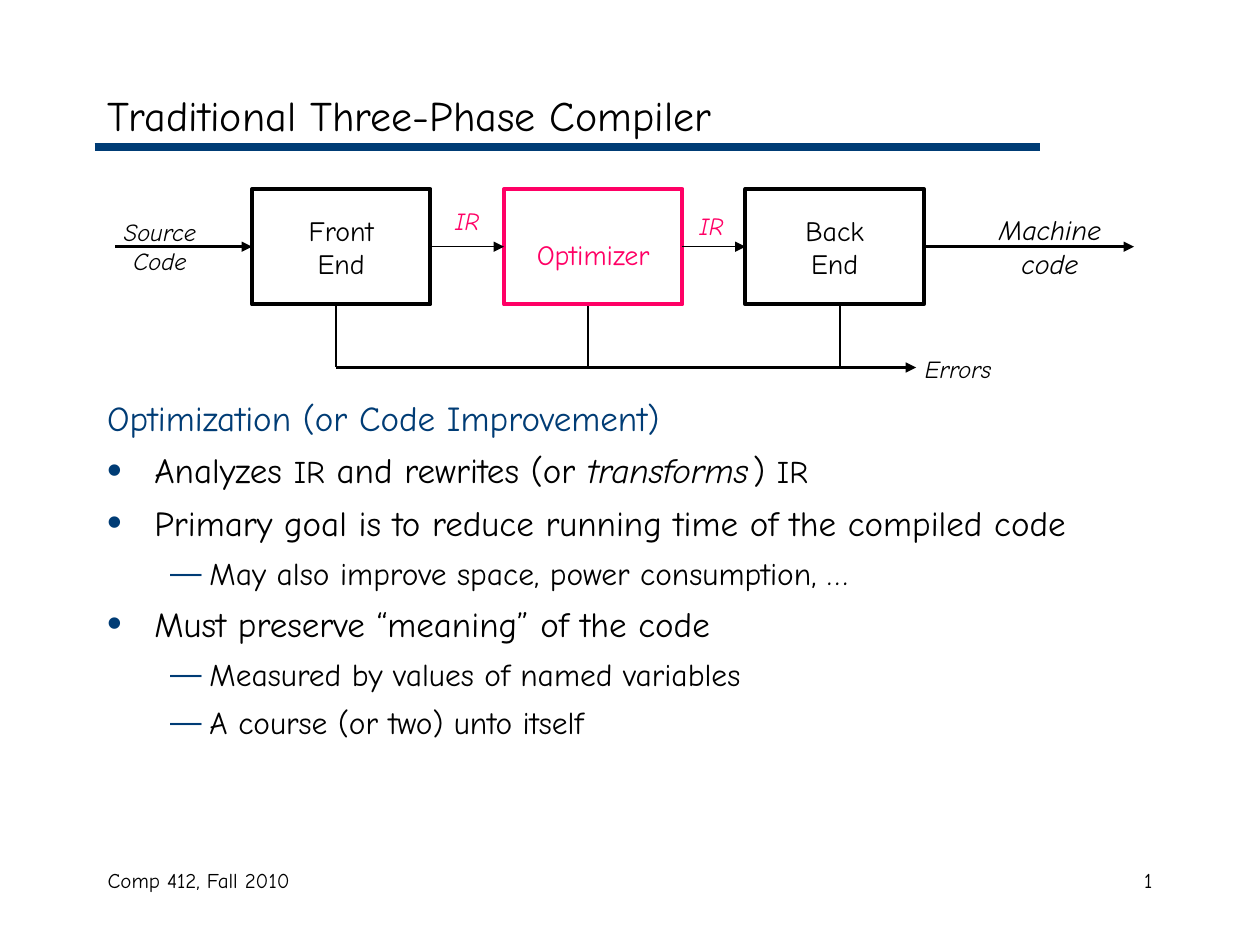
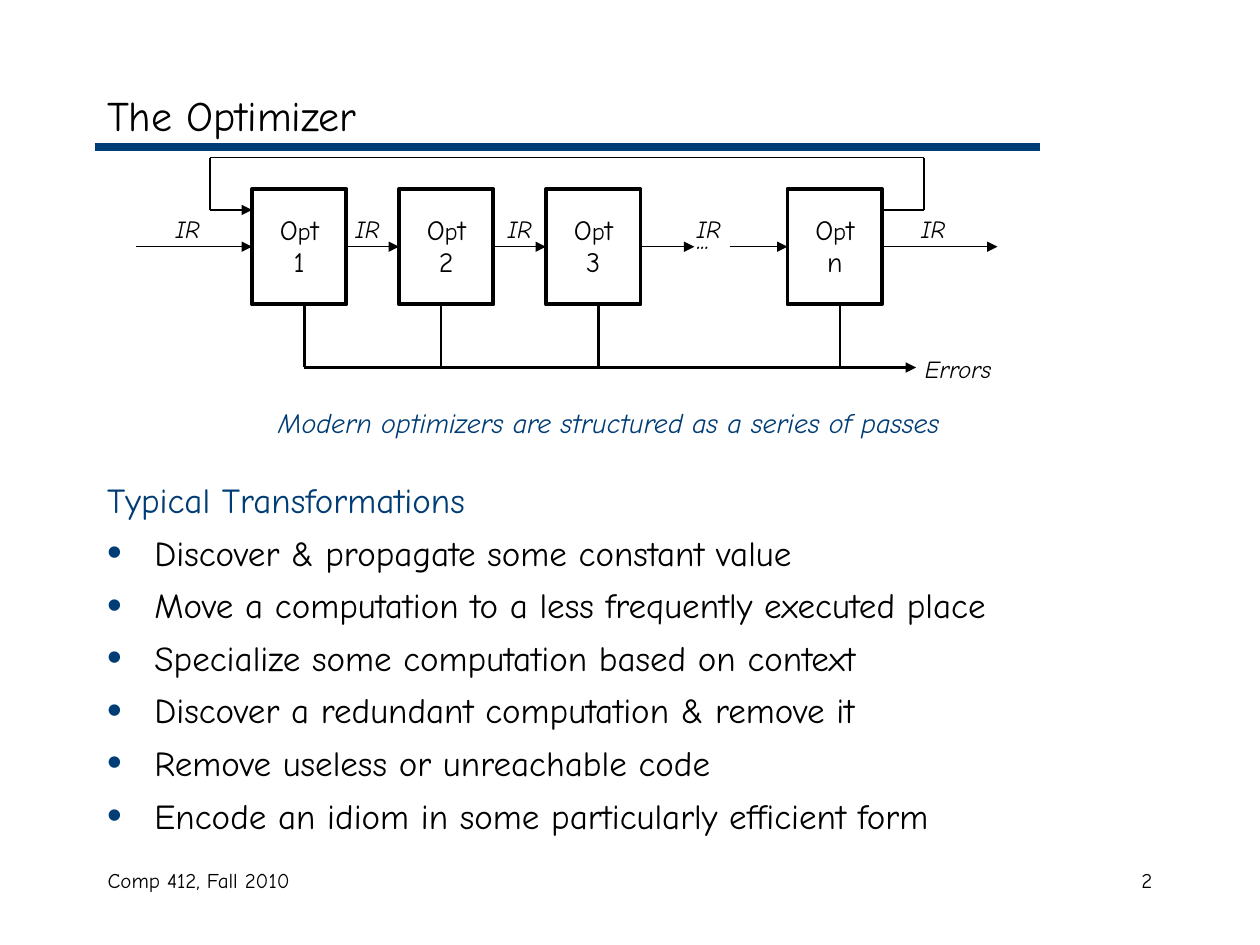
import dataclasses
import itertools

import lxml.etree
import pptx
import pptx.dml.color
import pptx.enum.shapes
import pptx.enum.text
import pptx.oxml.ns
import pptx.util

EMU_PER_PX = 9525
FONT = "Comic Neue"
COLORS = {"ink": "000000", "blue": "003C75", "pink": "FF0065"}
ALIGN = pptx.enum.text.PP_ALIGN
ANCHOR = pptx.enum.text.MSO_ANCHOR


@dataclasses.dataclass
class Box:
    left: int
    top: int
    width: int
    height: int

    def inner(self, left, top, width, height):
        return Box(self.left + left, self.top + top, width, height)

    def emu(self):
        return [px(value) for value in (self.left, self.top, self.width, self.height)]


TITLE = Box(72, 59, 816, 56)
BAND = Box(72, 112, 720, 0)
FOOTER = Box(72, 656, 816, 48)
DIAGRAM = Box(72, 120, 792, 180)
BLOCK_TOP, BLOCK_HEIGHT = 24, 88
FLOW_Y, ERROR_Y = 68, 160
LABEL_WIDTH = 120

COMPILER_LIST = [
    ("heading", [("Optimization (or Code Improvement)", 20, False)]),
    ("bullet", [("Analyzes ", 20, False), ("IR", 18, False),
                (" and rewrites (or ", 20, False), ("transforms", 20, True),
                (" ", 8, True), (") ", 20, False), ("IR", 18, False)]),
    ("bullet", [("Primary goal is to reduce running time of the compiled code", 20, False)]),
    ("dash", [("May also improve space, power consumption, …", 18, False)]),
    ("bullet", [("Must preserve “meaning” of the code", 20, False)]),
    ("dash", [("Measured by values of named variables", 18, False)]),
    ("dash", [("A course (or two) unto itself", 18, False)]),
]
TRANSFORMATIONS = [
    "Discover & propagate some constant value",
    "Move a computation to a less frequently executed place",
    "Specialize some computation based on context",
    "Discover a redundant computation & remove it",
    "Remove useless or unreachable code",
    "Encode an idiom in some particularly efficient form",
]
OPTIMIZER_LIST = [("heading", [("Typical Transformations", 20, False)])] + [
    ("bullet", [(text, 20, False)]) for text in TRANSFORMATIONS]

LIST_STYLES = {
    "heading": {"level": 0, "margin": 36, "indent": -36, "mark": None, "color": "blue"},
    "bullet": {"level": 0, "margin": 36, "indent": -36, "mark": "•", "percent": 120, "color": "ink"},
    "dash": {"level": 1, "margin": 78, "indent": -30, "mark": "—", "percent": 100, "color": "ink"},
}


def px(value):
    return pptx.util.Emu(value * EMU_PER_PX)


def rgb(name):
    return pptx.dml.color.RGBColor.from_string(COLORS[name])


def add_xml(parent, tag, **attributes):
    element = lxml.etree.SubElement(parent, pptx.oxml.ns.qn(tag))
    for name, value in attributes.items():
        element.set(name, str(value))
    return element


def add_run(paragraph, text, size, color="ink", italic=False):
    run = paragraph.add_run()
    run.text = text
    run.font.name = FONT
    run.font.size = pptx.util.Pt(size)
    run.font.italic = italic
    run.font.color.rgb = rgb(color)


def write_lines(frame, lines, color="ink", italic=False, align=ALIGN.CENTER, spacing=None):
    frame.word_wrap = True
    frame.margin_left = frame.margin_right = frame.margin_top = frame.margin_bottom = 0
    for index, runs in enumerate(lines):
        paragraph = frame.add_paragraph() if index else frame.paragraphs[0]
        paragraph.alignment = align
        paragraph.line_spacing = spacing
        for text, size in runs:
            add_run(paragraph, text, size, color, italic)


def add_line(slide, box, start, end, width, color="ink", arrow=False):
    ends = [px(value) for x, y in (start, end) for value in (box.left + x, box.top + y)]
    connector = slide.shapes.add_connector(pptx.enum.shapes.MSO_CONNECTOR.STRAIGHT, *ends)
    connector.line.width = pptx.util.Pt(width)
    connector.line.color.rgb = rgb(color)
    if arrow:
        add_xml(connector.line._get_or_add_ln(), "a:tailEnd", type="triangle")
    add_xml(connector._element.spPr, "a:effectLst")


def add_block(slide, box, lines, color="ink", spacing=None):
    shape = slide.shapes.add_shape(pptx.enum.shapes.MSO_SHAPE.RECTANGLE, *box.emu())
    shape.shadow.inherit = False
    shape.fill.background()
    shape.line.width = pptx.util.Pt(2.25)
    shape.line.color.rgb = rgb(color)
    shape.text_frame.vertical_anchor = ANCHOR.MIDDLE
    write_lines(shape.text_frame, lines, color, spacing=spacing)


def add_label(slide, box, center, top, lines, size=14, color="ink", width=LABEL_WIDTH):
    area = box.inner(center - width // 2, top, width, 24 * len(lines))
    label = slide.shapes.add_textbox(*area.emu())
    write_lines(label.text_frame, [[(line, size)] for line in lines], color, italic=True)


def add_errors(slide, box, drops):
    for x in drops:
        add_line(slide, box, (x, BLOCK_TOP + BLOCK_HEIGHT), (x, ERROR_Y), 1.5)
    add_line(slide, box, (drops[0], ERROR_Y), (626, ERROR_Y), 1.5, arrow=True)
    add_label(slide, box, 658, 150, ["Errors"])


def add_flows(slide, box, flows):
    for start, end, width in flows:
        add_line(slide, box, (start, FLOW_Y), (end, FLOW_Y), width, arrow=True)


def draw_compiler(slide, box):
    add_errors(slide, box, [184, 376, 568])
    blocks = [
        (120, ["Front", "End"], "ink", None),
        (312, ["Optimizer"], "pink", 1.45),
        (496, ["Back", "End"], "ink", None),
    ]
    for left, lines, color, spacing in blocks:
        area = box.inner(left, BLOCK_TOP, 136, BLOCK_HEIGHT)
        add_block(slide, area, [[(line, 16)] for line in lines], color, spacing)
    add_flows(slide, box, [(16, 120, 1.5), (256, 312, 0.75), (448, 496, 0.75), (632, 792, 1.5)])
    add_label(slide, box, 50, 45, ["Source", "Code"])
    add_label(slide, box, 284, 37, ["IR"], color="pink")
    add_label(slide, box, 470, 41, ["IR"], color="pink")
    add_label(slide, box, 728, 42, ["Machine", "code"], size=16)


def draw_optimizer(slide, box):
    add_errors(slide, box, [160, 264, 384, 568])
    for left, number in zip((120, 232, 344, 528), "123n"):
        lines = [[("O", 16), ("p", 14), ("t", 16)], [(number, 16)]]
        add_block(slide, box.inner(left, BLOCK_TOP, 72, BLOCK_HEIGHT), lines, spacing=0.95)
    spans = [(32, 120), (192, 232), (304, 344), (416, 457), (484, 528), (600, 688)]
    add_flows(slide, box, [(start, end, 0.75) for start, end in spans])
    feedback = [(600, 40), (632, 40), (632, 0), (88, 0), (88, 40), (120, 40)]
    for start, end in itertools.pairwise(feedback):
        add_line(slide, box, start, end, 0.75, arrow=end == feedback[-1])
    for center in (71, 208, 324, 468, 639):
        add_label(slide, box, center, 43, ["IR"])
    add_label(slide, box, 464, 49, ["..."], size=16)
    add_label(slide, box, 392, 189, ["Modern optimizers are structured as a series of passes"],
              size=16, color="blue", width=656)


def place(shape, box):
    shape.left, shape.top, shape.width, shape.height = box.emu()
    shape.text_frame.auto_size = pptx.enum.text.MSO_AUTO_SIZE.NONE
    shape.text_frame.word_wrap = True


def format_list_paragraph(paragraph, style):
    paragraph.level = style["level"]
    properties = paragraph._p.get_or_add_pPr()
    properties.set("marL", str(px(style["margin"])))
    properties.set("indent", str(px(style["indent"])))
    if style["mark"]:
        add_xml(add_xml(properties, "a:buClr"), "a:srgbClr", val=COLORS["blue"])
        add_xml(properties, "a:buSzPct", val=style["percent"] * 1000)
        add_xml(properties, "a:buChar", char=style["mark"])
    else:
        add_xml(properties, "a:buNone")


def fill_list(shape, box, items):
    place(shape, box)
    frame = shape.text_frame
    for index, (kind, runs) in enumerate(items):
        paragraph = frame.add_paragraph() if index else frame.paragraphs[0]
        style = LIST_STYLES[kind]
        format_list_paragraph(paragraph, style)
        paragraph.space_before = pptx.util.Pt(6 if index else 0)
        for text, size, italic in runs:
            add_run(paragraph, text, size, style["color"], italic)


def fill_title(shape, box, text):
    place(shape, box)
    shape.text_frame.vertical_anchor = ANCHOR.MIDDLE
    paragraph = shape.text_frame.paragraphs[0]
    paragraph.alignment = ALIGN.LEFT
    add_run(paragraph, text, 24)


def add_footer(slide, box, number):
    parts = [
        (0, 304, "Comp 412, Fall 2010", ALIGN.LEFT),
        (box.width - 200, 200, str(number), ALIGN.RIGHT),
    ]
    for left, width, text, align in parts:
        area = box.inner(left + 10, 5, width - 20, box.height - 10)
        footer = slide.shapes.add_textbox(*area.emu())
        write_lines(footer.text_frame, [[(text, 12)]], align=align)


def add_content_slide(presentation, number, title, items, list_box, draw_diagram):
    slide = presentation.slides.add_slide(presentation.slide_layouts[1])
    add_line(slide, BAND, (0, 0), (BAND.width, 0), 4.5, "blue")
    add_footer(slide, FOOTER, number)
    fill_title(slide.shapes.title, TITLE, title)
    fill_list(slide.placeholders[1], list_box, items)
    draw_diagram(slide, DIAGRAM)


def main():
    presentation = pptx.Presentation()
    presentation.slide_width = px(960)
    presentation.slide_height = px(720)
    add_content_slide(presentation, 1, "Traditional Three-Phase Compiler",
                      COMPILER_LIST, Box(72, 297, 816, 343), draw_compiler)
    add_content_slide(presentation, 2, "The Optimizer",
                      OPTIMIZER_LIST, Box(72, 360, 816, 296), draw_optimizer)
    presentation.save("out.pptx")


if __name__ == "__main__":
    main()
